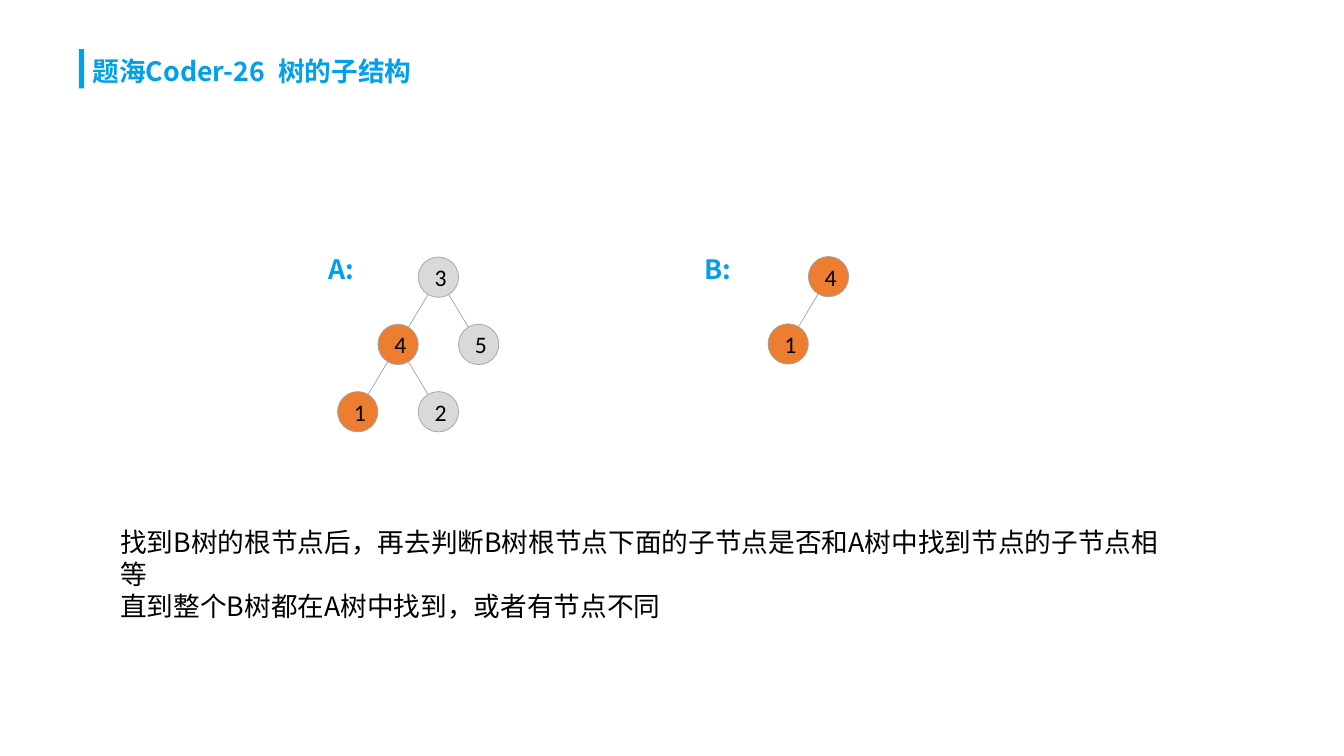
from dataclasses import dataclass

import lxml.etree
import pptx
import pptx.dml.color
import pptx.enum.shapes
import pptx.enum.text
import pptx.oxml.ns
import pptx.util

WIDE = pptx.util.Inches(12.6)
HIGH = pptx.util.Inches(7.09)


def color(code: str) -> pptx.dml.color.RGBColor:
    return pptx.dml.color.RGBColor.from_string(code)


def across(share: float) -> int:
    """Turn a percentage of the slide width into a length."""
    return round(WIDE * share / 100)


def down(share: float) -> int:
    """Turn a percentage of the slide height into a length."""
    return round(HIGH * share / 100)


@dataclass(frozen=True)
class Theme:
    blue: str = "00A0EA"
    orange: str = "ED7D31"
    pale: str = "D9D9D9"
    gray: str = "A5A5A5"
    black: str = "000000"
    head: str = "Noto Sans CJK JP"
    body: str = "Noto Sans CJK SC"
    digit: str = "Calibri"
    large: int = 18
    small: int = 16
    thin: float = 0.5


THEME = Theme()


@dataclass(frozen=True)
class Box:
    """Place and size in percent of the slide."""
    left: float
    top: float
    width: float
    height: float

    def frame(self) -> tuple[int, int, int, int]:
        return (across(self.left), down(self.top),
                across(self.width), down(self.height))


@dataclass(frozen=True)
class Label:
    box: Box
    lines: tuple[str, ...]
    face: str = THEME.head
    tint: str = THEME.blue
    bold: bool = True
    wrap: bool = True
    tab: float = 0


@dataclass(frozen=True)
class Node:
    """A value at a column and row counted from the root."""
    text: str
    col: int
    row: int
    found: bool = True


@dataclass(frozen=True)
class Tree:
    """Nodes, and edges as parent and child indexes, around a root centre."""
    left: float
    top: float
    nodes: tuple[Node, ...]
    edges: tuple[tuple[int, int], ...]

    def center(self, index: int) -> tuple[int, int]:
        node = self.nodes[index]
        return (across(self.left + node.col * COL),
                down(self.top + node.row * ROW))


COL, ROW, SIZE = 3, 8.9, 3

TITLE = Label(Box(6.11, 6.6, 49.92, 5.64),
              ("题海Coder-26\t树的子结构",), tab=13.8)
BAR = Box(5.87, 6.49, 0.4, 5.22)
NAMES = (
    Label(Box(23.65, 32.72, 3.89, 5.64), ("A:",), wrap=False),
    Label(Box(51.62, 32.72, 3.73, 5.64), ("B:",), wrap=False),
)
NOTE = Label(
    Box(8.17, 68.83, 80.16, 10.01),
    ("找到B树的根节点后，再去判断B树根节点下面的子节点是否和A树中找到节点的子节点相等",
     "直到整个B树都在A树中找到，或者有节点不同"),
    face=THEME.body, tint=THEME.black, bold=False)

TREE_A = Tree(
    32.62, 36.67,
    (Node("3", 0, 0, False), Node("4", -1, 1), Node("5", 1, 1, False),
     Node("1", -2, 2), Node("2", 0, 2, False)),
    ((0, 1), (0, 2), (1, 3), (1, 4)))
TREE_B = Tree(61.65, 36.6, (Node("4", 0, 0), Node("1", -1, 1)), ((0, 1),))


def style(para, face: str, size: int, tint: str, bold: bool = False) -> None:
    font = para.font
    font.name = face
    font.size = pptx.util.Pt(size)
    font.bold = bold
    font.color.rgb = color(tint)
    base = para._p.pPr.find(pptx.oxml.ns.qn("a:defRPr"))
    lxml.etree.SubElement(base, pptx.oxml.ns.qn("a:ea"), typeface=face)


def write(shapes, label: Label) -> None:
    text = shapes.add_textbox(*label.box.frame()).text_frame
    text.word_wrap = label.wrap
    for index, line in enumerate(label.lines):
        para = text.add_paragraph() if index else text.paragraphs[0]
        para.add_run().text = line
        if label.tab:
            tabs = lxml.etree.SubElement(
                para._p.get_or_add_pPr(), pptx.oxml.ns.qn("a:tabLst"))
            lxml.etree.SubElement(tabs, pptx.oxml.ns.qn("a:tab"),
                                  pos=str(across(label.tab)), algn="l")
        style(para, label.face, THEME.large, label.tint, label.bold)


def rule(shapes, box: Box) -> None:
    """Draw the accent bar beside the title."""
    bar = shapes.add_shape(
        pptx.enum.shapes.MSO_SHAPE.RECTANGLE, *box.frame())
    bar.shadow.inherit = False
    bar.fill.solid()
    bar.fill.fore_color.rgb = color(THEME.blue)
    bar.line.fill.background()


def outline(line) -> None:
    line.color.rgb = color(THEME.gray)
    line.width = pptx.util.Pt(THEME.thin)


def link(shapes, start: tuple[int, int], end: tuple[int, int]) -> None:
    edge = shapes.add_connector(
        pptx.enum.shapes.MSO_CONNECTOR.STRAIGHT, *start, *end)
    outline(edge.line)
    lxml.etree.SubElement(edge._element.spPr,
                          pptx.oxml.ns.qn("a:effectLst"))


def disc(shapes, node: Node, center: tuple[int, int]) -> None:
    size = across(SIZE)
    shape = shapes.add_shape(
        pptx.enum.shapes.MSO_SHAPE.OVAL,
        center[0] - size // 2, center[1] - size // 2, size, size)
    shape.shadow.inherit = False
    shape.fill.solid()
    shape.fill.fore_color.rgb = color(
        THEME.orange if node.found else THEME.pale)
    outline(shape.line)
    text = shape.text_frame
    text.vertical_anchor = pptx.enum.text.MSO_ANCHOR.MIDDLE
    para = text.paragraphs[0]
    para.add_run().text = node.text
    para.alignment = pptx.enum.text.PP_ALIGN.CENTER
    style(para, THEME.digit, THEME.small, THEME.black)


def grow(shapes, tree: Tree) -> None:
    """Draw the edges first, so that the nodes cover their ends."""
    for start, end in tree.edges:
        link(shapes, tree.center(start), tree.center(end))
    for index, node in enumerate(tree.nodes):
        disc(shapes, node, tree.center(index))


def main() -> None:
    deck = pptx.Presentation()
    deck.slide_width, deck.slide_height = WIDE, HIGH
    shapes = deck.slides.add_slide(deck.slide_layouts[6]).shapes
    write(shapes, TITLE)
    rule(shapes, BAR)
    grow(shapes.add_group_shape().shapes, TREE_A)
    grow(shapes, TREE_B)
    for label in (*NAMES, NOTE):
        write(shapes, label)
    deck.save("out.pptx")


if __name__ == "__main__":
    main()
